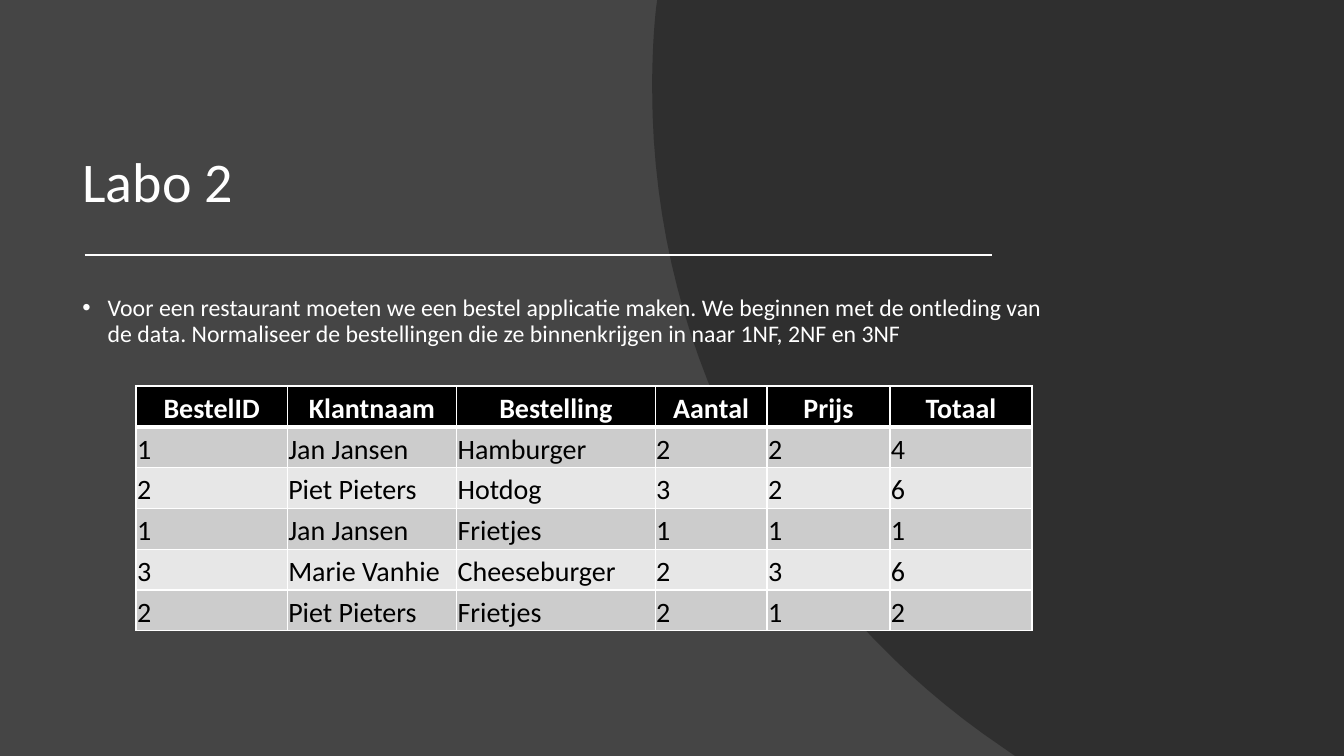
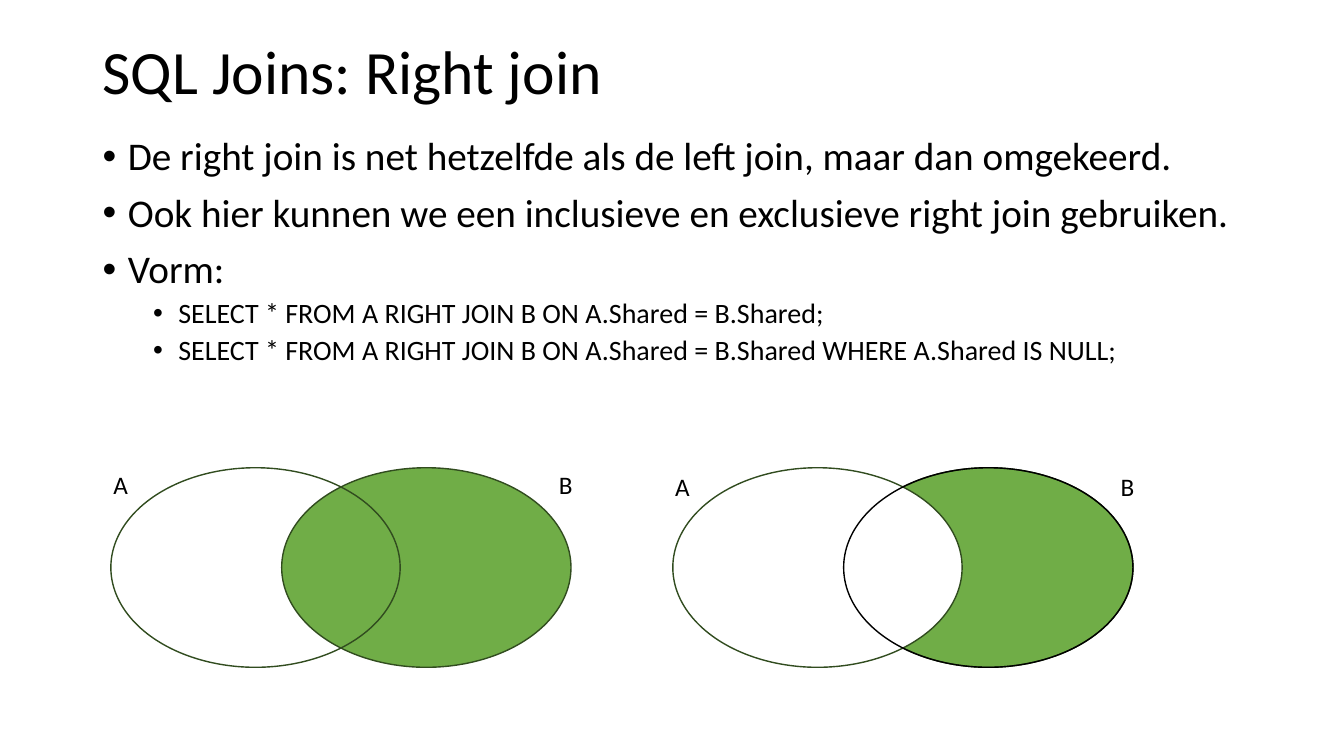
from dataclasses import dataclass
from pptx import Presentation as Deck
from pptx.dml.color import RGBColor as Color
from pptx.enum.shapes import MSO_CONNECTOR as Link, MSO_SHAPE as Form
from pptx.enum.text import MSO_ANCHOR as Anchor, PP_ALIGN as Align
from pptx.oxml.ns import qn
from pptx.util import Emu, Pt
from lxml.etree import SubElement as Sub

COLS, ROWS = 160, 90
CELL = 76200


@dataclass(frozen=True)
class Theme:
    font: str = "Calibri"
    white: str = "FFFFFF"
    black: str = "000000"
    dark: str = "454545"
    shade: str = "262626"
    green: str = "70AD47"
    edge: str = "314C1F"
    bands: tuple = ("CCCCCC", "E7E7E7")
    small: int = 17
    label: int = 18
    code: int = 20
    text: int = 28
    title: int = 40
    large: int = 44


THEME = Theme()


def grid(*sizes):
    return [Emu(round(size * CELL)) for size in sizes]


def rgb(tone):
    return Color.from_string(tone)


def write(frame, text, size, ink, bold=False, align=Align.LEFT, lead=1.0,
          before=0, after=0, level=None):
    par = frame.paragraphs[0]
    if par.runs:
        par = frame.add_paragraph()
        par.space_before = Pt(before)
    if level is not None:
        props = par._p.get_or_add_pPr()
        left, hang = grid(3 + 6 * level, -3)
        props.set("marL", str(left))
        props.set("indent", str(hang))
        Sub(props, qn("a:buFont"), typeface="Arial")
        Sub(props, qn("a:buChar"), char="•")
        par.level = level
    par.alignment = align
    par.line_spacing = lead
    par.space_after = Pt(after)
    run = par.add_run()
    run.text = text
    font = run.font
    font.name, font.size, font.bold = THEME.font, Pt(size), bold
    font.color.rgb = rgb(ink)


def curve(start, pull, push, end, steps=32):
    for step in range(1, steps + 1):
        t = step / steps
        u = 1 - t
        yield tuple(u**3 * a + 3 * u * u * t * b + 3 * u * t * t * c + t**3 * d
                    for a, b, c, d in zip(start, pull, push, end))


class Board:
    def __init__(self):
        self.deck = Deck()
        self.deck.slide_width, self.deck.slide_height = grid(COLS, ROWS)

    def page(self, back, ink):
        self.slide = self.deck.slides.add_slide(self.deck.slide_layouts[6])
        self.shapes = self.slide.shapes
        self.ink = ink
        fill = self.slide.background.fill
        fill.solid()
        fill.fore_color.rgb = rgb(back)

    def frame(self, box, anchor=Anchor.TOP, home=None):
        frame = (home or self.shapes).add_textbox(*grid(*box)).text_frame
        frame.word_wrap = True
        frame.vertical_anchor = anchor
        return frame

    def title(self, text, box, size, anchor):
        write(self.frame(box, anchor), text, size, self.ink, lead=0.9)

    def list(self, items, box):
        frame = self.frame(box)
        for text, size, level in items:
            write(frame, text, size, self.ink, lead=0.9,
                  before=5 if level else 10, level=level)

    def rule(self, left, right, top):
        line = self.shapes.add_connector(
            Link.STRAIGHT, *grid(left, top, right, top))
        line.line.color.rgb = rgb(self.ink)
        line.line.width = Pt(1.5)
        Sub(line._element.spPr, qn("a:effectLst"))

    def swoosh(self):
        low, bend, high = (119.4, 89), (77.64, 10.56), (78.12, 0.84)
        points = [(COLS, 0), (COLS, ROWS), (120.84, ROWS), low,
                  *curve(low, (94.2, 72), (77.64, 43.2), bend),
                  *curve(bend, (77.64, 7.32), (77.76, 4.08), high)]
        path = self.shapes.build_freeform(*grid(78.24, 0))
        path.add_line_segments([grid(*point) for point in points])
        shape = path.convert_to_shape()
        shape.shadow.inherit = False
        shape.line.fill.background()
        shape.fill.solid()
        shape.fill.fore_color.rgb = rgb(THEME.shade)
        tone = shape._element.spPr.find(qn("a:solidFill"))[0]
        Sub(tone, qn("a:alpha"), val="70000")

    def border(self, cell, **widths):
        props = cell._tc.get_or_add_tcPr()
        for side in "LRTB":
            line = Sub(props, qn("a:ln" + side),
                       w=str(Pt(widths.get(side, 1))))
            fill = Sub(line, qn("a:solidFill"))
            Sub(fill, qn("a:srgbClr"), val=THEME.white)

    def table(self, data, left, top, widths, height):
        box = grid(left, top, sum(widths), height * len(data))
        table = self.shapes.add_table(len(data), len(widths), *box).table
        for col, width in zip(table.columns, grid(*widths)):
            col.width = width
        for r, items in enumerate(data):
            table.rows[r].height = grid(height)[0]
            head = r == 0
            edges = {0: {"B": 3}, 1: {"T": 3}}.get(r, {})
            back = THEME.black if head else THEME.bands[(r - 1) % 2]
            for c, text in enumerate(items):
                cell = table.cell(r, c)
                self.border(cell, **edges)
                cell.fill.solid()
                cell.fill.fore_color.rgb = rgb(back)
                cell.vertical_anchor = Anchor.BOTTOM
                (cell.margin_left, cell.margin_top, cell.margin_right,
                 cell.margin_bottom) = grid(*[0.12] * 4)
                write(cell.text_frame, text, THEME.code,
                      THEME.white if head else THEME.black, bold=head,
                      align=Align.CENTER if head else Align.LEFT,
                      lead=1.07, after=8)

    def oval(self, home, left, top, fill=None, edge=THEME.edge):
        shape = home.add_shape(Form.OVAL, *grid(left, top, 34.44, 23.76))
        shape.shadow.inherit = False
        shape.line.color.rgb = rgb(edge)
        shape.line.width = Pt(1)
        if fill:
            shape.fill.solid()
            shape.fill.fore_color.rgb = rgb(fill)
        else:
            shape.fill.background()

    def venn(self, left, top, only=False):
        home = self.shapes.add_group_shape().shapes
        right = left + 20.34
        self.oval(home, right, top, THEME.green)
        self.oval(home, left, top, THEME.white if only else None)
        if only:
            self.oval(home, right, top, edge=THEME.black)
        drop = 0.12 if only else 0.36
        for text, x in (("A", left - 0.9), ("B", left + 52.14)):
            frame = self.frame((x, top - drop, 3.72, 4.8), home=home)
            write(frame, text, THEME.label, self.ink)


def lab(board):
    board.page(THEME.dark, THEME.white)
    board.swoosh()
    board.title("Labo 2", (8.64, 4.8, 118.32, 21.36), THEME.title,
                Anchor.BOTTOM)
    board.rule(10.08, 118.08, 30.36)
    board.list([("Voor een restaurant moeten we een bestel applicatie maken. "
                 "We beginnen met de ontleding van de data. Normaliseer de "
                 "bestellingen die ze binnenkrijgen in naar 1NF, 2NF en 3NF",
                 THEME.small, 0)], (8.64, 34.68, 118.32, 43.68))
    board.table([
        ("BestelID", "Klantnaam", "Bestelling", "Aantal", "Prijs", "Totaal"),
        ("1", "Jan Jansen", "Hamburger", "2", "2", "4"),
        ("2", "Piet Pieters", "Hotdog", "3", "2", "6"),
        ("1", "Jan Jansen", "Frietjes", "1", "1", "1"),
        ("3", "Marie Vanhie", "Cheeseburger", "2", "3", "6"),
        ("2", "Piet Pieters", "Frietjes", "2", "1", "2"),
    ], 16.2, 45.96, (18, 20.16, 23.64, 13.32, 14.64, 16.92), 4.86)


def joins(board):
    board.page(THEME.white, THEME.black)
    board.title("SQL Joins: Right join", (11.04, 3.6, 138, 10.44),
                THEME.large, Anchor.MIDDLE)
    query = "SELECT * FROM A RIGHT JOIN B ON A.Shared = B.Shared"
    board.list([
        ("De right join is net hetzelfde als de left join, "
         "maar dan omgekeerd.", THEME.text, 0),
        ("Ook hier kunnen we een inclusieve en exclusieve right join "
         "gebruiken.", THEME.text, 0),
        ("Vorm:", THEME.text, 0),
        (query + ";", THEME.code, 1),
        (query + " WHERE A.Shared IS NULL;", THEME.code, 1),
    ], (11.04, 15.72, 142.68, 69.72))
    board.venn(13.2, 55.68)
    board.venn(80.1, 55.68, only=True)


def main():
    board = Board()
    lab(board)
    joins(board)
    board.deck.save("out.pptx")


if __name__ == "__main__":
    main()
